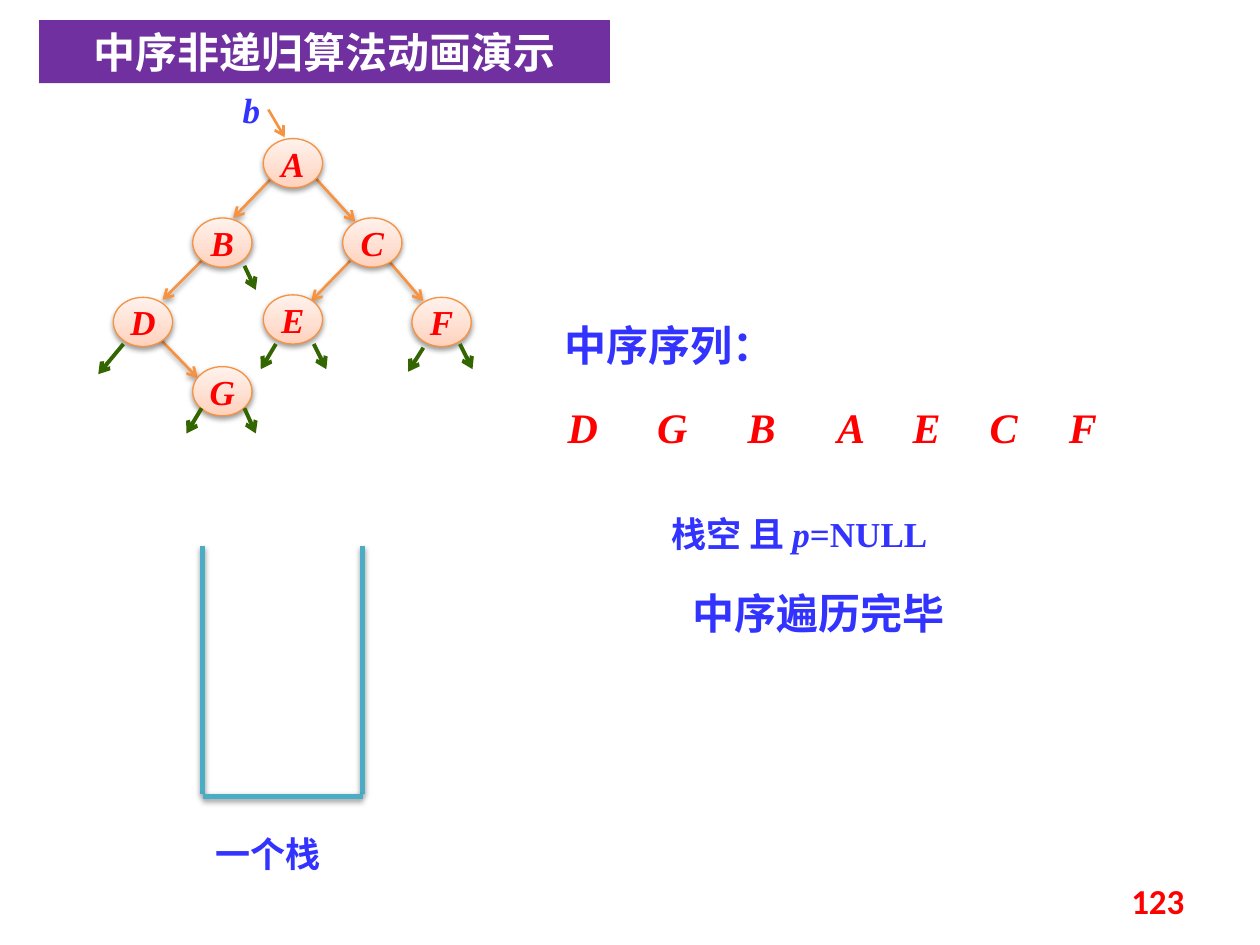
from dataclasses import dataclass

from lxml import etree
from pptx import Presentation
from pptx.dml.color import RGBColor
from pptx.enum.shapes import MSO_CONNECTOR, MSO_SHAPE
from pptx.enum.text import MSO_ANCHOR, PP_ALIGN
from pptx.oxml.ns import qn
from pptx.util import Inches, Pt

LEFT, CENTER, RIGHT = PP_ALIGN.LEFT, PP_ALIGN.CENTER, PP_ALIGN.RIGHT
TOP, MIDDLE = MSO_ANCHOR.TOP, MSO_ANCHOR.MIDDLE
OVAL, STRAIGHT = MSO_SHAPE.OVAL, MSO_CONNECTOR.STRAIGHT
TITLE_ONLY = 5


@dataclass(frozen=True)
class Theme:
    latin: str = "Times New Roman"
    chinese: str = "Noto Sans CJK SC"
    number: str = "Calibri"
    blue: str = "3333FF"
    red: str = "FF0000"
    white: str = "FFFFFF"
    banner: str = "7030A0"
    edge: str = "F69240"
    null_link: str = "336600"
    stack: str = "4BACC6"
    node_bottom: str = "FFD2BD"
    node_top: str = "FFF2ED"
    large: int = 24
    normal: int = 20


THEME = Theme()

TITLE = "中序非递归算法动画演示"
TITLE_AREA = (0.31, 0.16, 4.53, 0.5)

NODE_SIZE = (0.47, 0.39)
NODES = {  # left, top
    "A": (2.09, 1.1),
    "B": (1.53, 1.73),
    "C": (2.72, 1.73),
    "D": (0.9, 2.36),
    "E": (2.09, 2.34),
    "F": (3.27, 2.36),
    "G": (1.53, 2.91),
}
# Lines are x1, y1, x2, y2
TREE_EDGES = [
    (1.26, 2.68, 1.57, 3),
    (2.16, 1.41, 1.85, 1.73),
    (2.5, 1.41, 2.82, 1.76),
    (1.64, 2.03, 1.29, 2.38),
    (2.78, 2.07, 2.47, 2.39),
    (3.05, 2.03, 3.36, 2.39),
]
ROOT_POINTER = (2.13, 0.87, 2.26, 1.09)
NULL_LINKS = [
    (1.94, 3.24, 2.03, 3.44),
    (1.6, 3.24, 1.48, 3.44),
    (2.49, 2.73, 2.59, 2.93),
    (2.19, 2.73, 2.07, 2.93),
    (3.65, 2.73, 3.75, 2.93),
    (3.36, 2.76, 3.24, 2.95),
    (0.98, 2.73, 0.78, 2.97),
    (1.94, 2.11, 2.03, 2.3),
]
STACK_SIDES = [
    (1.61, 4.33, 1.61, 6.3),
    (2.88, 4.33, 2.88, 6.3),
    (1.61, 6.32, 2.88, 6.32),
]
SEQUENCE_TOP = 3.19
SEQUENCE = [("D", 4.39), ("G", 5.1), ("B", 5.81), ("A", 6.52),
            ("E", 7.12), ("C", 7.73), ("F", 8.36)]


def color(value):
    return RGBColor.from_string(value)


def add_effects(shape, shadow):
    """Replace the theme shadow by a soft drop shadow, or by none."""
    effects = etree.SubElement(shape._element.spPr, qn("a:effectLst"))
    if shadow:
        outer = etree.SubElement(effects, qn("a:outerShdw"), blurRad=str(Pt(3.1)),
                                 dist=str(Pt(1.6)), dir="5400000", rotWithShape="0")
        black = etree.SubElement(outer, qn("a:srgbClr"), val="000000")
        etree.SubElement(black, qn("a:alpha"), val="38000")


def add_lines(slide, lines, line_color, width, arrow=True, shadow=False):
    for ends in lines:
        line = slide.shapes.add_connector(STRAIGHT, *map(Inches, ends))
        line.line.color.rgb = color(line_color)
        line.line.width = Pt(width)
        if arrow:
            etree.SubElement(line.line._get_or_add_ln(), qn("a:tailEnd"), type="arrow")
        add_effects(line, shadow)


def write(shape, text, size=THEME.normal, text_color=THEME.blue, font=THEME.latin,
          italic=False, align=LEFT, anchor=TOP, wrap=True, inset=None):
    """Write text, or a list of (text, italic) runs, in the shape."""
    frame = shape.text_frame
    frame.word_wrap = wrap
    frame.vertical_anchor = anchor
    if inset is not None:
        frame.margin_left = frame.margin_right = Inches(inset)
        frame.margin_top = frame.margin_bottom = Inches(inset)
    para = frame.paragraphs[0]
    para.alignment = align
    for words, slanted in [(text, italic)] if isinstance(text, str) else text:
        span = para.add_run()
        span.text = words
        span.font.name = font
        span.font.size = Pt(size)
        span.font.bold = True
        span.font.italic = slanted
        span.font.color.rgb = color(text_color)
        latin = span.font._element.find(qn("a:latin"))
        latin.addnext(etree.Element(qn("a:ea"), typeface=THEME.chinese))


def add_text(slide, text, area, **style):
    write(slide.shapes.add_textbox(*map(Inches, area)), text, **style)


def add_title(slide):
    title = slide.shapes.title
    title.left, title.top, title.width, title.height = map(Inches, TITLE_AREA)
    title.fill.solid()
    title.fill.fore_color.rgb = color(THEME.banner)
    write(title, TITLE, size=THEME.large, text_color=THEME.white, align=CENTER)


def add_node(slide, name, place):
    node = slide.shapes.add_shape(OVAL, *map(Inches, place + NODE_SIZE))
    node.fill.gradient()
    node.fill.gradient_angle = 90
    for stop, shade in zip(node.fill.gradient_stops, (THEME.node_bottom, THEME.node_top)):
        stop.color.rgb = color(shade)
    node.line.color.rgb = color(THEME.edge)
    node.line.width = Pt(0.75)
    add_effects(node, True)
    write(node, name, text_color=THEME.red, italic=True, align=CENTER,
          anchor=MIDDLE, wrap=False)


def add_tree(slide):
    add_lines(slide, TREE_EDGES, THEME.edge, 1.5, shadow=True)
    for name, place in NODES.items():
        add_node(slide, name, place)
    add_lines(slide, NULL_LINKS, THEME.null_link, 2.25)
    add_lines(slide, [ROOT_POINTER], THEME.edge, 1.5)
    add_text(slide, "b", (1.8, 0.7, 0.39, 0.34), italic=True, align=CENTER, inset=0)


def add_stack(slide):
    add_lines(slide, STACK_SIDES, THEME.stack, 3, arrow=False, shadow=True)
    add_text(slide, "一个栈", (1.61, 6.56, 1.26, 0.44), font=THEME.chinese)


def add_result(slide):
    heading = dict(size=THEME.large, font=THEME.chinese, align=CENTER)
    add_text(slide, "中序序列：", (4.37, 2.49, 1.89, 0.5), **heading)
    for name, left in SEQUENCE:
        add_text(slide, name, (left, SEQUENCE_TOP, 0.47, 0.4), size=THEME.large,
                 text_color=THEME.red, italic=True, align=CENTER, inset=0)
    add_text(slide, [("栈空 且 ", False), ("p", True), ("=NULL", False)],
             (5.23, 4.02, 2.5, 0.44))
    add_text(slide, "中序遍历完毕", (5, 4.61, 2.99, 0.5), **heading)


def main():
    deck = Presentation()
    deck.slide_width, deck.slide_height = Inches(10), Inches(7.5)
    slide = deck.slides.add_slide(deck.slide_layouts[TITLE_ONLY])
    add_title(slide)
    add_tree(slide)
    add_stack(slide)
    add_result(slide)
    add_text(slide, "123", (7.17, 6.95, 2.33, 0.4), text_color=THEME.red,
             font=THEME.number, align=RIGHT, anchor=MIDDLE)
    deck.save("out.pptx")


if __name__ == "__main__":
    main()
